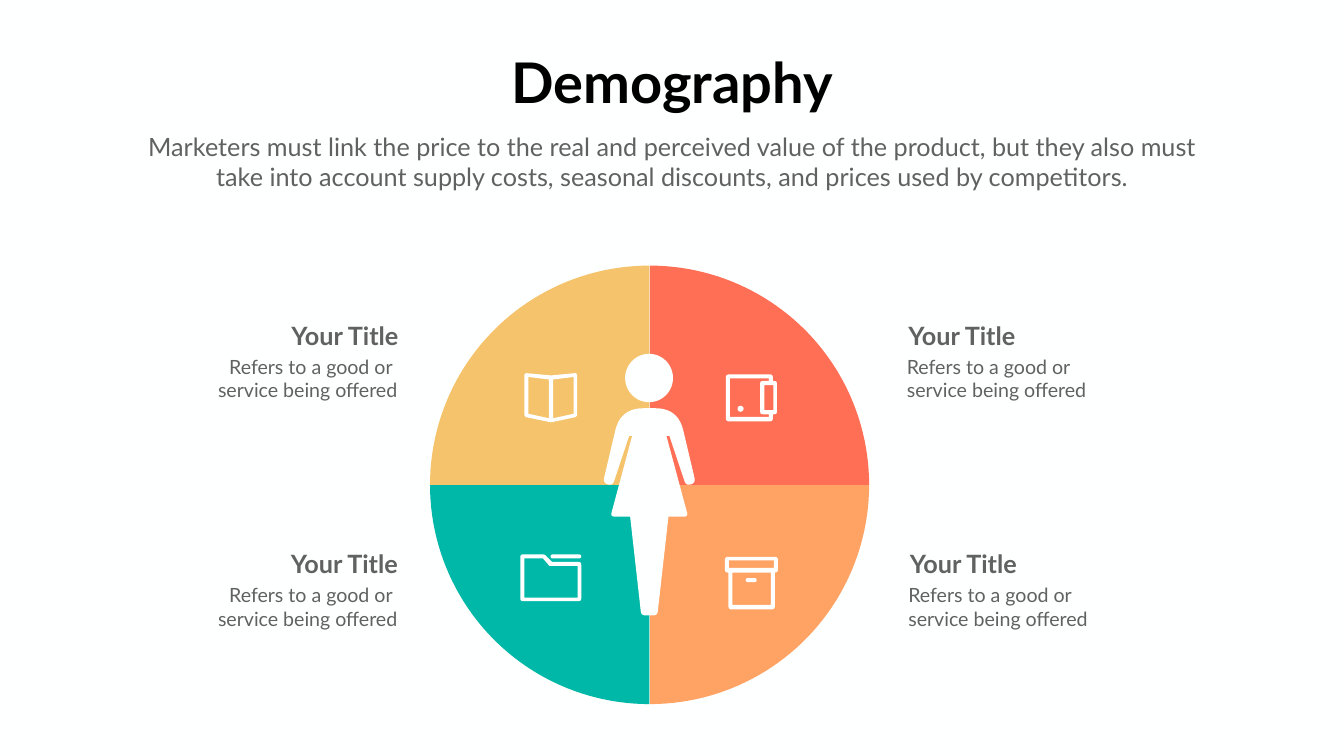
import math
from dataclasses import dataclass

from pptx import Presentation
from pptx.dml.color import RGBColor
from pptx.enum.shapes import MSO_SHAPE
from pptx.enum.text import MSO_AUTO_SIZE, PP_ALIGN
from pptx.util import Inches, Pt

OVAL, PILL = MSO_SHAPE.OVAL, MSO_SHAPE.ROUNDED_RECTANGLE
LEFT, CENTER, RIGHT = PP_ALIGN.LEFT, PP_ALIGN.CENTER, PP_ALIGN.RIGHT
FIT = MSO_AUTO_SIZE.SHAPE_TO_FIT_TEXT

FONT = "Lato"
OFF_WHITE = RGBColor(0xFE, 0xFF, 0xFF)
WHITE = RGBColor(0xFF, 0xFF, 0xFF)
BLACK = RGBColor(0x00, 0x00, 0x00)
GRAY = RGBColor(0x61, 0x61, 0x61)
TEAL = RGBColor(0x00, 0xB8, 0xA7)
YELLOW = RGBColor(0xF4, 0xC3, 0x6B)
ORANGE = RGBColor(0xFF, 0xA3, 0x64)
CORAL = RGBColor(0xFF, 0x6F, 0x55)

RADIUS, CENTER_Y = 4.35, 9.62
AXIS_X = 12.88  # symmetry axis of the figure

# A corner is (x, y) or (x, y, rounding)
Corner = tuple[float, ...]
Contour = list[Corner]


@dataclass
class Quadrant:
    x: float
    start: int  # degrees, clockwise from the right
    color: RGBColor


@dataclass
class Label:
    title_x: float
    title_y: float
    body_x: float
    lines: tuple[str, str]
    align: PP_ALIGN


@dataclass
class Detail:
    kind: MSO_SHAPE
    x: float
    y: float
    w: float
    h: float
    color: RGBColor = WHITE


def rect(x1: float, y1: float, x2: float, y2: float) -> Contour:
    return [(x1, y1), (x2, y1), (x2, y2), (x1, y2)]


def mirror(contour: Contour, axis: float) -> Contour:
    return [(2 * axis - x, *rest) for x, *rest in reversed(contour)]


def round_corners(contour: Contour, steps: int = 10) -> Contour:
    """Replace each rounded corner by points on a quadratic curve."""
    points = []
    for i, (x, y, *rounding) in enumerate(contour):
        if not rounding:
            points.append((x, y))
            continue
        ends = []
        for nx, ny, *_ in (contour[i - 1], contour[(i + 1) % len(contour)]):
            k = rounding[0] / math.dist((x, y), (nx, ny))
            ends.append((x + k * (nx - x), y + k * (ny - y)))
        (ax, ay), (bx, by) = ends
        for t in (n / steps for n in range(steps + 1)):
            a, c, b = (1 - t) ** 2, 2 * t * (1 - t), t * t
            points.append((a * ax + c * x + b * bx, a * ay + c * y + b * by))
    return points


def paint(sp, color: RGBColor) -> None:
    sp.shadow.inherit = False
    sp.fill.solid()
    sp.fill.fore_color.rgb = color
    sp.line.fill.background()


def add_outline(s, contours: list[Contour], color: RGBColor) -> None:
    """Draw one freeform; contours after the first are holes."""
    builder = None
    for contour in contours:
        points = [(Inches(x), Inches(y)) for x, y in round_corners(contour)]
        if builder is None:
            builder = s.shapes.build_freeform(*points[0], scale=1.0)
        else:
            builder.move_to(*points[0])
        builder.add_line_segments(points[1:], close=True)
    paint(builder.convert_to_shape(), color)


def add_quadrant(s, q: Quadrant) -> None:
    angles = [math.radians(q.start + d) for d in range(0, 91, 2)]
    arc = [(q.x + RADIUS * math.cos(a), CENTER_Y + RADIUS * math.sin(a)) for a in angles]
    add_outline(s, [[(q.x, CENTER_Y), *arc]], q.color)


def add_detail(s, d: Detail) -> None:
    sp = s.shapes.add_shape(d.kind, Inches(d.x), Inches(d.y), Inches(d.w), Inches(d.h))
    if d.kind == PILL:
        sp.adjustments[0] = 0.5
    paint(sp, d.color)


def add_text(s, lines: tuple[str, ...], x: float, y: float, w: float, h: float, *,
             size: int, color: RGBColor = GRAY, bold: bool = False,
             align: PP_ALIGN = LEFT, wrap: bool = True) -> None:
    tf = s.shapes.add_textbox(Inches(x), Inches(y), Inches(w), Inches(h)).text_frame
    tf.word_wrap = wrap
    tf.auto_size = FIT
    for i, line in enumerate(lines):
        p = tf.add_paragraph() if i else tf.paragraphs[0]
        p.alignment = align
        r = p.add_run()
        r.text = line
        r.font.name, r.font.size, r.font.bold = FONT, Pt(size), bold
        r.font.color.rgb = color


def add_label(s, label: Label) -> None:
    add_text(s, ("Your Title",), label.title_x, label.title_y, 2.61, 0.71,
             size=36, bold=True, align=label.align)
    add_text(s, label.lines, label.body_x, label.title_y + 0.69, 3.97, 1.04,
             size=28, align=label.align)


QUADRANTS = [Quadrant(12.88, 90, TEAL), Quadrant(12.88, 180, YELLOW),
             Quadrant(12.89, 0, ORANGE), Quadrant(12.89, 270, CORAL)]

WALLET = [
    [(14.4, 7.43, .06), (15.33, 7.43, .06), (15.33, 7.56), (15.41, 7.56, .05),
     (15.41, 8.22, .05), (15.33, 8.22), (15.33, 8.36, .06), (14.4, 8.36, .06)],
    [(14.48, 7.51), (15.25, 7.51), (15.25, 7.56), (15.08, 7.56, .05),
     (15.08, 8.22, .05), (15.25, 8.22), (15.25, 8.27), (14.48, 8.27)],
    rect(15.16, 7.64, 15.34, 8.14),
]
FOLDER = [
    [(10.32, 11, .06), (10.8, 11, .03), (10.95, 11.15), (11.53, 11.15, .06),
     (11.53, 11.93, .06), (10.32, 11.93, .06)],
    [(10.4, 11.08), (10.77, 11.08), (10.9, 11.23), (11.46, 11.23),
     (11.46, 11.86), (10.4, 11.86)],
]
ARCHIVE_BOX = [
    [(14.38, 11.05, .06), (15.43, 11.05, .06), (15.43, 11.36, .06), (15.37, 11.36),
     (15.37, 12.09, .06), (14.45, 12.09, .06), (14.45, 11.36), (14.38, 11.36, .06)],
    rect(14.46, 11.12, 15.35, 11.27),
    rect(14.53, 11.36, 15.29, 12),
]
LEFT_PAGE = [(10.48, 7.48), (10.89, 7.53), (10.89, 8.3), (10.48, 8.21)]
BOOK = [
    [(10.4, 7.4, .06), (10.93, 7.45), (11.45, 7.4, .06),
     (11.45, 8.27, .06), (10.93, 8.38), (10.4, 8.27, .06)],
    LEFT_PAGE, mirror(LEFT_PAGE, 10.93),
]
HALF_BODY = [(12.31, 8.1, .45), (11.96, 9.58, .1), (12.15, 9.64, .1), (12.48, 8.65),
             (12.54, 8.65), (12.11, 10.25, .08), (12.5, 10.25), (12.72, 12.21, .08)]
BODY = [HALF_BODY + mirror(HALF_BODY, AXIS_X)]

DETAILS = [Detail(OVAL, 14.63, 8.05, 0.12, 0.12),  # wallet button
           Detail(PILL, 10.92, 11, 0.61, 0.08),  # folder tab
           Detail(PILL, 14.79, 11.47, 0.22, 0.08),  # box handle
           Detail(OVAL, 12.4, 7.02, 0.95, 0.96, OFF_WHITE)]  # head

LINES = ("Refers to a good or", "service being offered")
LINES_RIGHT = ("Refers to a good or ", "service being offered")
LABELS = [Label(17.92, 6.3, 17.89, LINES, LEFT), Label(17.95, 10.83, 17.92, LINES, LEFT),
          Label(5.39, 6.3, 4.01, LINES_RIGHT, RIGHT),
          Label(5.38, 10.83, 4.01, LINES_RIGHT, RIGHT)]


def main() -> None:
    prs = Presentation()
    prs.slide_width, prs.slide_height = Inches(26.66), Inches(15)
    s = prs.slides.add_slide(prs.slide_layouts[6])
    s.background.fill.solid()
    s.background.fill.fore_color.rgb = OFF_WHITE

    # Circle, icons and figure
    for q in QUADRANTS:
        add_quadrant(s, q)
    for icon in (WALLET, FOLDER, ARCHIVE_BOX, BOOK):
        add_outline(s, icon, WHITE)
    for d in DETAILS:
        add_detail(s, d)
    add_outline(s, BODY, OFF_WHITE)

    # Heading and labels
    add_text(s, ("Demography",), 9.97, 0.9, 6.72, 1.45,
             size=80, color=BLACK, bold=True, align=CENTER, wrap=False)
    add_text(s, ("Marketers must link the price to the real and perceived value of the "
                 "product, but they also must take into account supply costs, seasonal "
                 "discounts, and prices used by competitors.",),
             2.68, 2.56, 21.3, 1.31, size=36, align=CENTER)
    for label in LABELS:
        add_label(s, label)

    prs.save("out.pptx")


if __name__ == "__main__":
    main()
